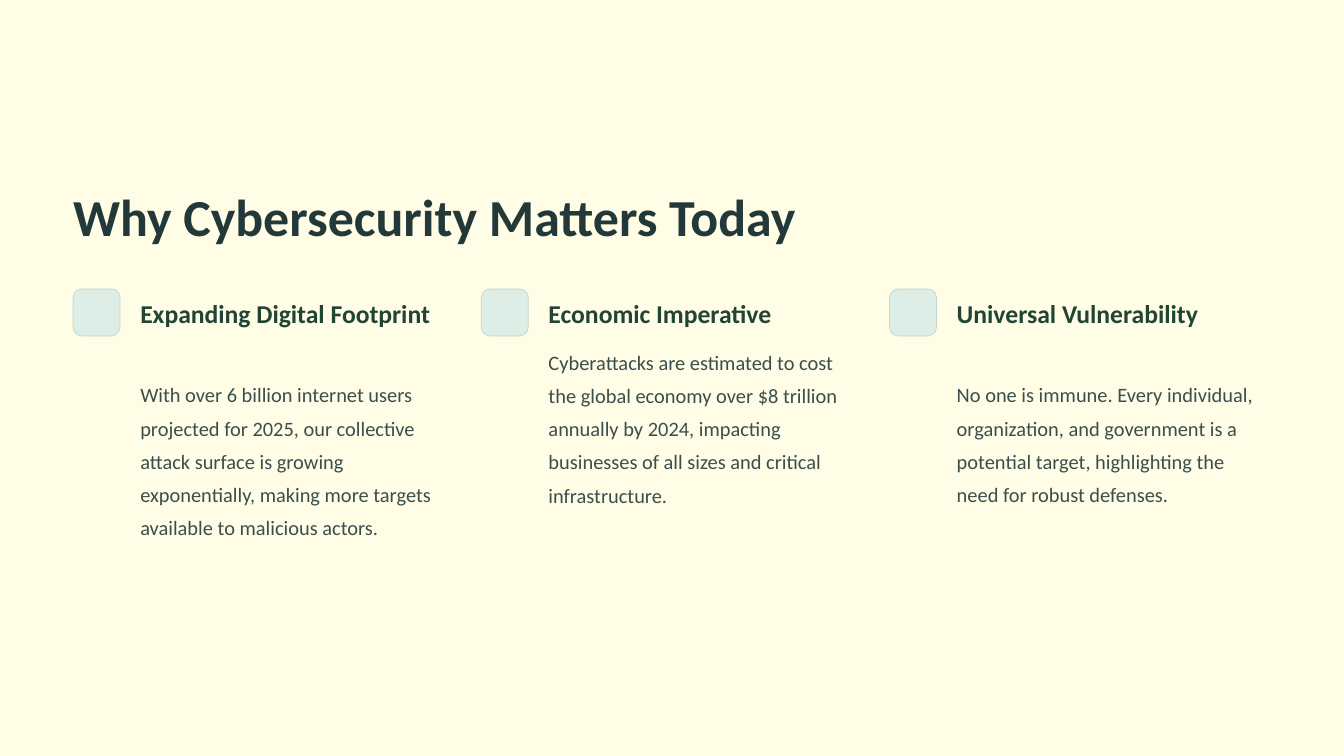
import pptx
import pptx.util
import pptx.dml.color
import pptx.enum.shapes

INCH = pptx.util.Inches
LEFT, TOP, PITCH = 0.87, 3.44, 4.86
BADGE, INDENT, WIDTH = 0.56, 0.8, 3.74
ROW, GAP = 0.39, 0.14

STYLES = {
    "title": ({"size": 44.5, "bold": True}, "233939", 55.5),
    "head": ({"size": 22, "bold": True}, "224435", 27.5),
    "body": ({"size": 17.5, "bold": False}, "3B4E4E", 28.5),
}

POINTS = [
    ("Expanding Digital Footprint", 2, 2.38,
     "With over 6 billion internet users projected for 2025, our collective "
     "attack surface is growing exponentially, making more targets available "
     "to malicious actors."),
    ("Economic Imperative", 1, 1.98,
     "Cyberattacks are estimated to cost the global economy over $8 trillion "
     "annually by 2024, impacting businesses of all sizes and critical "
     "infrastructure."),
    ("Universal Vulnerability", 2, 1.98,
     "No one is immune. Every individual, organization, and government is a "
     "potential target, highlighting the need for robust defenses."),
]


def paint(color, code):
    color.rgb = pptx.dml.color.RGBColor.from_string(code)


def write(slide, box, text, style, wrap=True):
    fonts, code, pitch = STYLES[style]
    frame = slide.shapes.add_textbox(*map(INCH, box)).text_frame
    for side in ("left", "top", "right", "bottom"):
        setattr(frame, f"margin_{side}", 0)
    frame.word_wrap = wrap
    line = frame.paragraphs[0]
    line.line_spacing = pptx.util.Pt(pitch)
    run = line.add_run()
    run.text = text
    run.font.name = "Calibri"
    for name, value in fonts.items():
        setattr(run.font, name, pptx.util.Pt(value) if name == "size" else value)
    paint(run.font.color, code)


def badge(slide, left, top):
    kind = pptx.enum.shapes.MSO_SHAPE.ROUNDED_RECTANGLE
    shape = slide.shapes.add_shape(kind, *map(INCH, (left, top, BADGE, BADGE)))
    shape.adjustments[0] = 0.187
    shape.shadow.inherit = False
    shape.fill.solid()
    paint(shape.fill.fore_color, "DDEEE6")
    paint(shape.line.color, "C3D4CC")
    shape.line.width = pptx.util.Pt(0.6)


def point(slide, left, top, head, rows, height, body):
    badge(slide, left, top)
    inset, start = left + INDENT, top + 0.09
    tall = rows * ROW
    write(slide, (inset, start, WIDTH, tall), head, "head", rows > 1)
    write(slide, (inset, start + tall + GAP, WIDTH, height), body, "body")


def main():
    deck = pptx.Presentation()
    deck.slide_width, deck.slide_height = INCH(16), INCH(9)
    slide = deck.slides.add_slide(deck.slide_layouts[6])
    slide.background.fill.solid()
    paint(slide.background.fill.fore_color, "FFFDE6")
    write(slide, (LEFT, 2.17, 11.65, 0.78),
          "Why Cybersecurity Matters Today", "title", False)
    for index, item in enumerate(POINTS):
        point(slide, LEFT + index * PITCH, TOP, *item)
    deck.save("out.pptx")


if __name__ == "__main__":
    main()
